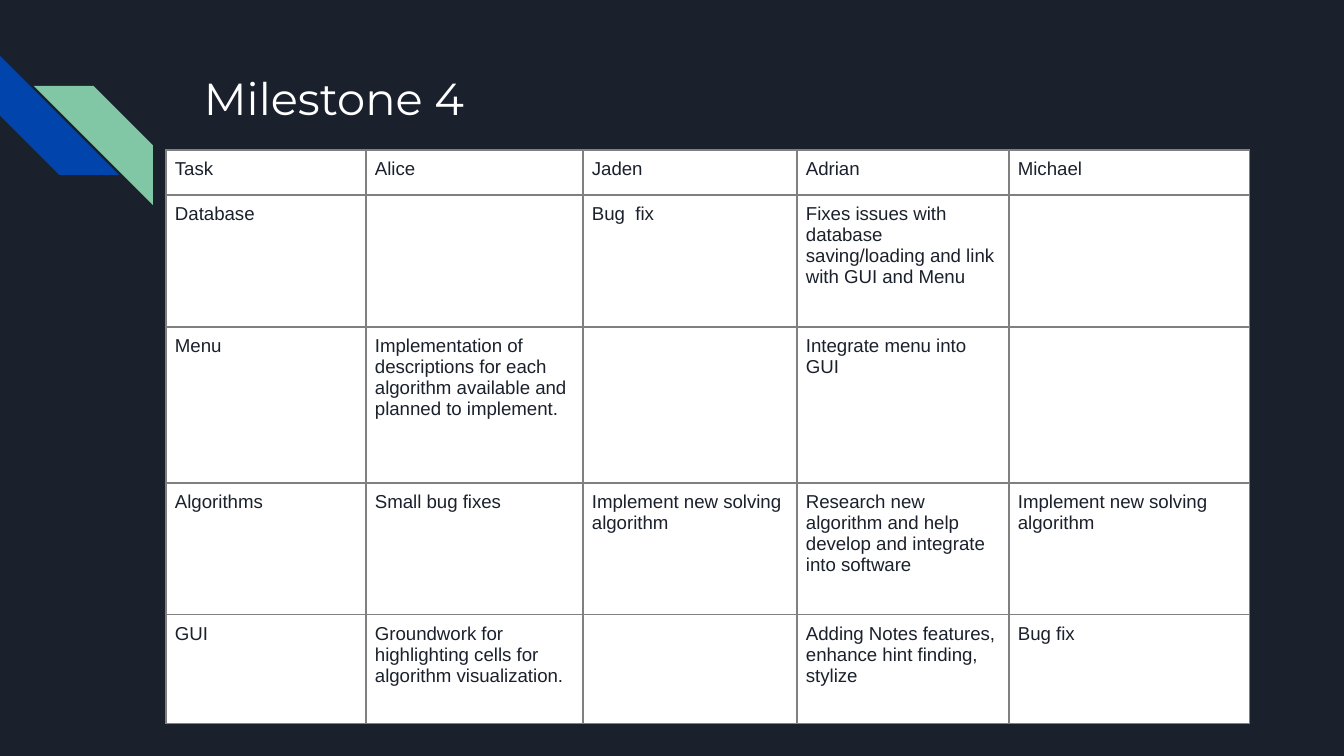
from dataclasses import dataclass

from lxml import etree
from pptx import Presentation
from pptx.dml.color import RGBColor
from pptx.enum.shapes import MSO_SHAPE
from pptx.enum.text import MSO_ANCHOR
from pptx.oxml.ns import qn
from pptx.util import Emu, Pt

STRIPE = MSO_SHAPE.DIAGONAL_STRIPE
TOP = MSO_ANCHOR.TOP

NAVY = RGBColor(0x1B, 0x21, 0x2C)
BLUE = RGBColor(0x01, 0x45, 0xAC)
GREEN = RGBColor(0x82, 0xC7, 0xA5)
WHITE = RGBColor(0xFF, 0xFF, 0xFF)
GRAY = RGBColor(0x80, 0x80, 0x80)

SLIDE_W, SLIDE_H = 1344, 756
EMU_PER_PX = 9144000 / SLIDE_W
CELL_MARGIN = 9


@dataclass
class Stripe:
    x: int
    y: int
    size: int
    color: RGBColor
    rotation: int = 0
    flipped: bool = False


STRIPES = [
    Stripe(0, 56, 119, BLUE, rotation=270),
    Stripe(34, 86, 119, GREEN, flipped=True),
]

COL_WIDTHS = [200, 217, 214, 212, 241]
ROW_HEIGHTS = [45, 132, 156, 132, 109]
TASKS = [
    ["Task", "Alice", "Jaden", "Adrian", "Michael"],
    ["Database", "", "Bug  fix",
     "Fixes issues with database saving/loading and link with GUI and Menu", ""],
    ["Menu",
     "Implementation of descriptions for each algorithm available and planned to implement.",
     "", "Integrate menu into GUI", ""],
    ["Algorithms", "Small bug fixes", "Implement new solving algorithm",
     "Research new algorithm and help develop and integrate into software",
     "Implement new solving algorithm"],
    ["GUI", "Groundwork for highlighting cells for algorithm visualization.", "",
     "Adding Notes features, enhance hint finding, stylize", "Bug fix"],
]


def px(n: int) -> Emu:
    return Emu(round(n * EMU_PER_PX))


def style_text(tf, font: str, size: int, color: RGBColor) -> None:
    for p in tf.paragraphs:
        p.font.size = Pt(size)
        for r in p.runs:
            r.font.name = font
            r.font.size = Pt(size)
            r.font.color.rgb = color


def add_stripe(s, stripe: Stripe) -> None:
    sp = s.shapes.add_shape(STRIPE, px(stripe.x), px(stripe.y),
                            px(stripe.size), px(stripe.size))
    sp.adjustments[0] = 0.5
    sp.rotation = stripe.rotation
    if stripe.flipped:
        sp._element.spPr.xfrm.set("flipH", "1")
    sp.fill.solid()
    sp.fill.fore_color.rgb = stripe.color
    sp.line.fill.background()
    sp.shadow.inherit = False


def add_title(s, text: str) -> None:
    tf = s.shapes.add_textbox(px(191), px(58), px(1035), px(134)).text_frame
    tf.word_wrap = True
    tf.vertical_anchor = TOP
    tf.margin_left = tf.margin_right = tf.margin_top = tf.margin_bottom = px(13)
    tf.text = text
    style_text(tf, "Montserrat", 24, WHITE)


def set_borders(cell, color: RGBColor, width: float) -> None:
    tc_pr = cell._tc.get_or_add_tcPr()
    for side in ("lnL", "lnR", "lnT", "lnB"):
        ln = etree.SubElement(tc_pr, qn(f"a:{side}"), w=str(Pt(width)))
        fill = etree.SubElement(ln, qn("a:solidFill"))
        etree.SubElement(fill, qn("a:srgbClr"), val=str(color))


def fill_cell(cell, text: str) -> None:
    cell.margin_left = cell.margin_right = px(CELL_MARGIN)
    cell.margin_top = cell.margin_bottom = px(CELL_MARGIN)
    cell.vertical_anchor = TOP
    set_borders(cell, GRAY, 0.75)
    cell.fill.solid()
    cell.fill.fore_color.rgb = WHITE
    cell.text_frame.text = text
    style_text(cell.text_frame, "Arial", 10, NAVY)


def add_task_table(s, x: int, y: int) -> None:
    table = s.shapes.add_table(len(ROW_HEIGHTS), len(COL_WIDTHS), px(x), px(y),
                               px(sum(COL_WIDTHS)), px(sum(ROW_HEIGHTS))).table
    table.first_row = table.horz_banding = False
    for col, width in zip(table.columns, COL_WIDTHS):
        col.width = px(width)
    for row, height, texts in zip(table.rows, ROW_HEIGHTS, TASKS):
        row.height = px(height)
        for cell, text in zip(row.cells, texts):
            fill_cell(cell, text)


def main() -> None:
    prs = Presentation()
    prs.slide_width, prs.slide_height = px(SLIDE_W), px(SLIDE_H)
    s = prs.slides.add_slide(prs.slide_layouts[6])
    s.background.fill.solid()
    s.background.fill.fore_color.rgb = NAVY

    # Corner decoration
    for stripe in STRIPES:
        add_stripe(s, stripe)

    # Heading and task assignments
    add_title(s, "Milestone 4")
    add_task_table(s, 166, 150)

    prs.save("out.pptx")


if __name__ == "__main__":
    main()
